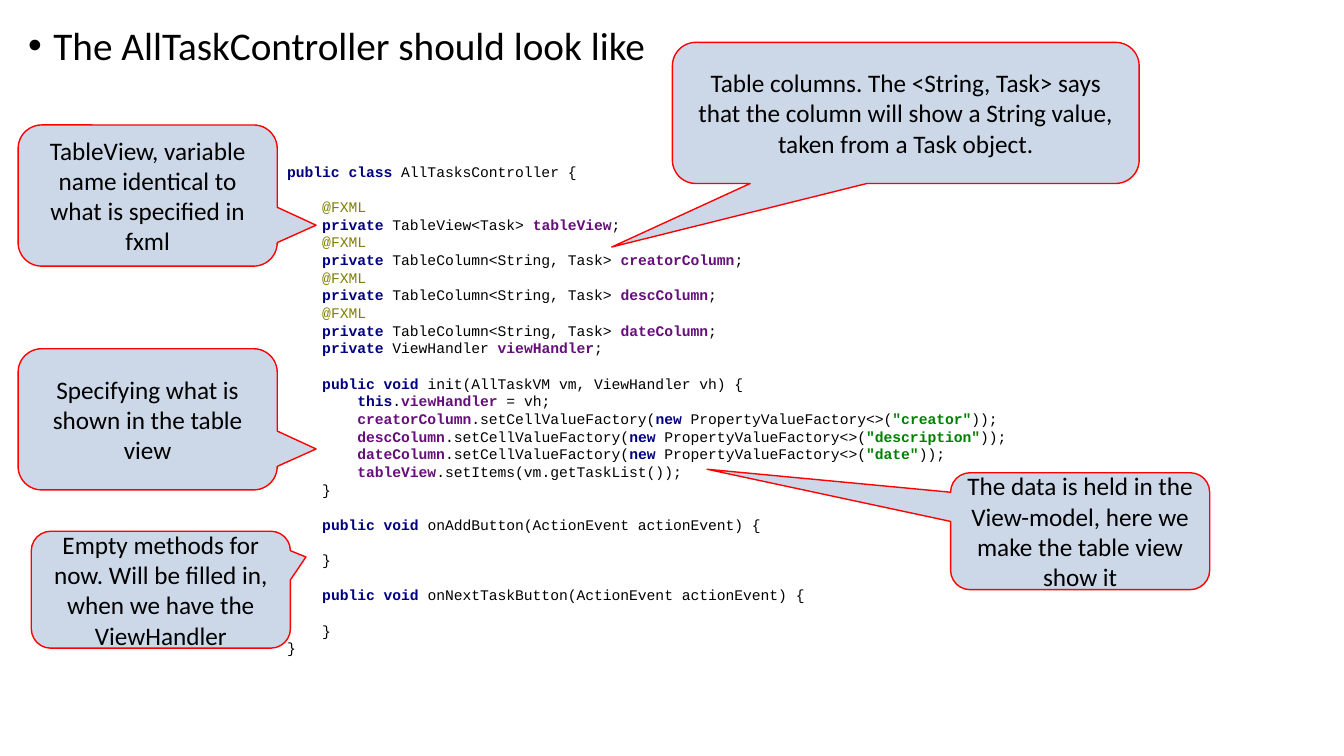
import itertools
import pptx
import pptx.util
import pptx.dml.color
import pptx.enum.shapes
import pptx.enum.text
import pptx.oxml.ns
import lxml.etree

# Content
HEAD = "The AllTaskController should look like"
CODE = [
    'public class AllTasksController {',
    '',
    '    @FXML',
    '    private TableView<Task> tableView;',
    '    @FXML',
    '    private TableColumn<String, Task> creatorColumn;',
    '    @FXML',
    '    private TableColumn<String, Task> descColumn;',
    '    @FXML',
    '    private TableColumn<String, Task> dateColumn;',
    '    private ViewHandler viewHandler;',
    '',
    '    public void init(AllTaskVM vm, ViewHandler vh) {',
    '        this.viewHandler = vh;',
    '        creatorColumn.setCellValueFactory(new PropertyValueFactory<>("creator"));',
    '        descColumn.setCellValueFactory(new PropertyValueFactory<>("description"));',
    '        dateColumn.setCellValueFactory(new PropertyValueFactory<>("date"));',
    '        tableView.setItems(vm.getTaskList());',
    '    }',
    '',
    '    public void onAddButton(ActionEvent actionEvent) {',
    '',
    '    }',
    '',
    '    public void onNextTaskButton(ActionEvent actionEvent) {',
    '',
    '    }',
    '}',
]
KEYS = {"public", "class", "private", "void", "this", "new"}
FIELDS = {"tableView", "creatorColumn", "descColumn", "dateColumn", "viewHandler"}

# Boxes are left, top, width, height in percent of the slide
BODY = (1.35, 2.8, 97.13, 94.93)
PANEL = (20.63, 20.53, 55.43, 67.33)
# Each note: text, box, tip of the tail from the centre in box sizes
NOTES = [
    ("TableView, variable name identical to what is specified in fxml",
     (1.35, 16.53, 19.28, 18.67), (0.65, 0.21)),
    ("Table columns. The <String, Task> says that the column will show "
     "a String value, taken from a Task object.",
     (50.03, 5.6, 34.73, 18.67), (-0.63, 0.95)),
    ("Specifying what is shown in the table view",
     (1.35, 46.13, 19.28, 18.67), (0.65, 0.21)),
    ("The data is held in the View-model, here we make the table view show it",
     (70.73, 62.53, 19.28, 15.47), (-1.44, -0.53)),
    ("Empty methods for now. Will be filled in, when we have the ViewHandler",
     (2.33, 70.27, 19.28, 15.47), (0.56, -0.28)),
]

Pt, Inches = pptx.util.Pt, pptx.util.Inches
qn = pptx.oxml.ns.qn
SHAPE = pptx.enum.shapes.MSO_SHAPE
ALIGN = pptx.enum.text.PP_ALIGN
MIDDLE = pptx.enum.text.MSO_ANCHOR.MIDDLE
MONO, SIZE = "Courier New", 10.5

prs = pptx.Presentation()
prs.slide_width, prs.slide_height = Inches(13.33), Inches(7.5)
slide = prs.slides.add_slide(prs.slide_layouts[1])


def color(text):
    return pptx.dml.color.RGBColor.from_string(text)


def place(box):
    sides = (prs.slide_width, prs.slide_height) * 2
    return [round(share * side / 100) for share, side in zip(box, sides)]


def write(para, text, size=18, font="Calibri", ink="000000", bold=False):
    run = para.add_run()
    run.text = text
    run.font.size, run.font.name, run.font.bold = Pt(size), font, bold
    run.font.color.rgb = color(ink)


def add_box(kind, box, fill, line=None):
    shape = slide.shapes.add_shape(kind, *place(box))
    shape.shadow.inherit = False
    shape.fill.solid()
    shape.fill.fore_color.rgb = color(fill)
    if line:
        shape.line.color.rgb = color(line)
        shape.line.width = Pt(1)
    else:
        shape.line.fill.background()
    shape.text_frame.vertical_anchor = MIDDLE
    return shape


def style(token):
    if token in KEYS:
        return "000080", True
    if token in FIELDS:
        return "660E7A", True
    if token[0] == '"':
        return "008000", True
    return ("808000" if token[0] == "@" else "000000"), False


def tokens(line):
    for _, part in itertools.groupby(line, lambda c: c.isalnum() or c in '@"'):
        yield "".join(part)


def add_break(para):
    para.add_line_break()
    props = lxml.etree.SubElement(para._p[-1], qn("a:rPr"), sz=str(int(SIZE * 100)))
    lxml.etree.SubElement(props, qn("a:latin"), typeface=MONO)


# Heading bullet
slide.shapes.title.element.getparent().remove(slide.shapes.title.element)
body = slide.placeholders[1]
body.left, body.top, body.width, body.height = place(BODY)
body.text_frame.auto_size = pptx.enum.text.MSO_AUTO_SIZE.NONE
para = body.text_frame.paragraphs[0]
props = para._p.get_or_add_pPr()
props.set("marL", str(Inches(0.25)))
props.set("indent", str(Inches(-0.25)))
lxml.etree.SubElement(props, qn("a:buFont"), typeface="Arial")
lxml.etree.SubElement(props, qn("a:buChar"), char="•")
para.line_spacing, para.space_before = 0.9, Pt(0)
write(para, HEAD, size=28)

# Code panel
frame = add_box(SHAPE.RECTANGLE, PANEL, "FFFFFF").text_frame
frame.word_wrap = False
para = frame.paragraphs[0]
para.alignment, para.line_spacing = ALIGN.LEFT, Pt(12.6)
for row, line in enumerate(CODE):
    if row:
        add_break(para)
    for (ink, bold), part in itertools.groupby(tokens(line), style):
        write(para, "".join(part), size=SIZE, font=MONO, ink=ink, bold=bold)

# Callouts
for text, box, tip in NOTES:
    note = add_box(SHAPE.ROUNDED_RECTANGULAR_CALLOUT, box, "CCD8E7", "FF0000")
    note.adjustments[0], note.adjustments[1] = tip
    note.text_frame.word_wrap = True
    para = note.text_frame.paragraphs[0]
    para.alignment = ALIGN.CENTER
    write(para, text)

prs.save("out.pptx")
